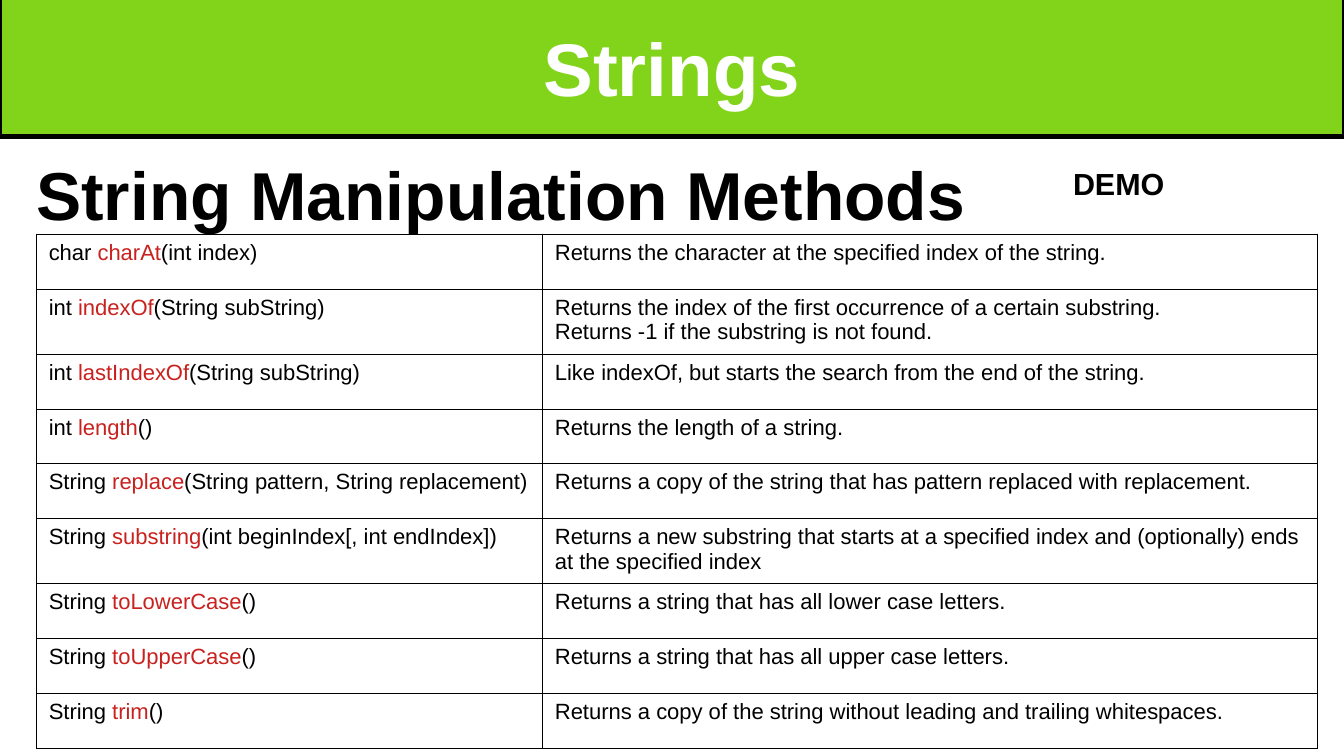
from lxml.etree import SubElement
from pptx import Presentation
from pptx.dml.color import RGBColor
from pptx.enum.text import MSO_ANCHOR, MSO_AUTO_SIZE, PP_ALIGN
from pptx.oxml.ns import qn
from pptx.util import Inches, Pt

BLACK = "000000"
THEME = {
    "font": "Arial",
    "banner": "81D41A",
    "title": {"size": 44, "color": "FFFFFF", "bold": True},
    "heading": {"size": 40, "color": BLACK, "bold": True},
    "label": {"size": 18, "color": BLACK, "bold": True},
    "cell": {"size": 13, "color": BLACK, "bold": False},
    "method": {"size": 13, "color": "C9211E", "bold": False},
}
METHODS = [
    ("char ", "charAt", "(int index)",
     ["Returns the character at the specified index of the string."]),
    ("int ", "indexOf", "(String subString)",
     ["Returns the index of the first occurrence of a certain substring.",
      "Returns -1 if the substring is not found."]),
    ("int ", "lastIndexOf", "(String subString)",
     ["Like indexOf, but starts the search from the end of the string."]),
    ("int ", "length", "()", ["Returns the length of a string."]),
    ("String ", "replace", "(String pattern, String replacement)",
     ["Returns a copy of the string that has pattern replaced with replacement."]),
    ("String ", "substring", "(int beginIndex[, int endIndex])",
     ["Returns a new substring that starts at a specified index and (optionally) "
      "ends at the specified index"]),
    ("String ", "toLowerCase", "()", ["Returns a string that has all lower case letters."]),
    ("String ", "toUpperCase", "()", ["Returns a string that has all upper case letters."]),
    ("String ", "trim", "()",
     ["Returns a copy of the string without leading and trailing whitespaces."]),
]
TWO_LINE_METHODS = {"indexOf", "substring"}


def add_span(para, text, style):
    span = para.add_run()
    span.text = text
    values = {"name": THEME["font"], "size": Pt(style["size"]), "bold": style["bold"]}
    for name, value in values.items():
        setattr(span.font, name, value)
    span.font.color.rgb = RGBColor.from_string(style["color"])


def add_borders(cell):
    properties = cell._tc.get_or_add_tcPr()
    for side in ("a:lnL", "a:lnR", "a:lnT", "a:lnB"):
        line = SubElement(properties, qn(side), w=str(Pt(0.57)))
        fill = SubElement(line, qn("a:solidFill"))
        SubElement(fill, qn("a:srgbClr"), val=BLACK)


deck = Presentation()
deck.slide_width, deck.slide_height = Inches(11.02), Inches(6.2)
page = deck.slides.add_slide(deck.slide_layouts[5])

# Title banner
banner = page.shapes.title
banner_place = {"left": 0, "top": -0.02, "width": 11.02, "height": 1.14}
for name, value in banner_place.items():
    setattr(banner, name, Inches(value))
banner.fill.solid()
banner.fill.fore_color.rgb = RGBColor.from_string(THEME["banner"])
banner.line.color.rgb = RGBColor.from_string(BLACK)
banner.line.width = Pt(2.89)
frame = banner.text_frame
frame.auto_size = MSO_AUTO_SIZE.NONE
frame.vertical_anchor = MSO_ANCHOR.MIDDLE
for side in ("left", "top", "right", "bottom"):
    setattr(frame, f"margin_{side}", Inches(0.02))
frame.paragraphs[0].alignment = PP_ALIGN.CENTER
add_span(frame.paragraphs[0], "Strings", THEME["title"])

# Heading and label
for text, style, place in [
    ("String Manipulation Methods", "heading", (0.2, 1.2, 9.1, 0.72)),
    ("DEMO", "label", (8.7, 1.3, 2, 0.38)),
]:
    box = page.shapes.add_textbox(*map(Inches, place))
    box.text_frame.word_wrap = True
    add_span(box.text_frame.paragraphs[0], text, THEME[style])

# Method table
table = page.shapes.add_table(
    len(METHODS), 2, Inches(0.3), Inches(1.92), Inches(10.5), Inches(4.19)
).table
table.first_row = table.horz_banding = False
for column, width in zip(table.columns, (4.15, 6.35)):
    column.width = Inches(width)

for row, (returned, method, arguments, description) in zip(table.rows, METHODS):
    row.height = Inches(0.53 if method in TWO_LINE_METHODS else 0.45)
    signature_cell, description_cell = row.cells
    for cell in row.cells:
        add_borders(cell)
        cell.fill.background()
    signature = signature_cell.text_frame.paragraphs[0]
    for text, style in ((returned, "cell"), (method, "method"), (arguments, "cell")):
        add_span(signature, text, THEME[style])
    frame = description_cell.text_frame
    for index, text in enumerate(description):
        para = frame.add_paragraph() if index else frame.paragraphs[0]
        add_span(para, text, THEME["cell"])

deck.save("out.pptx")
